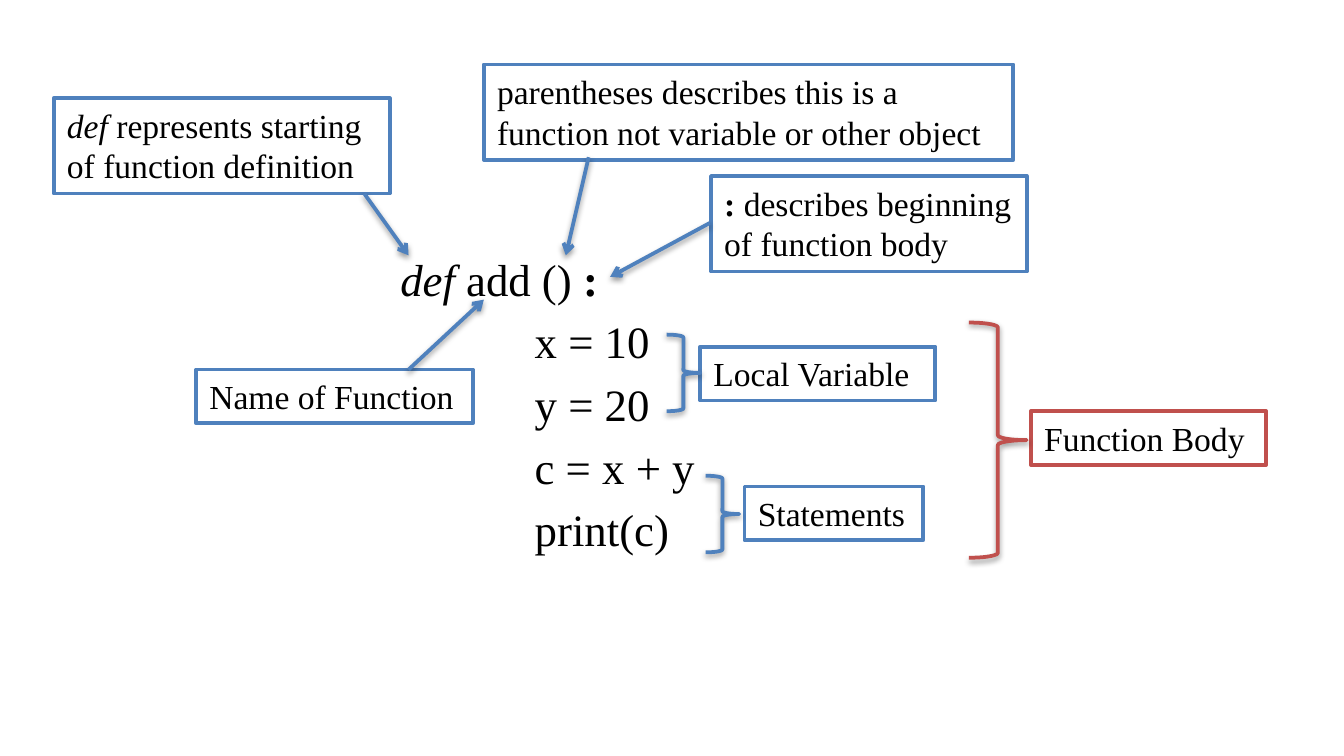
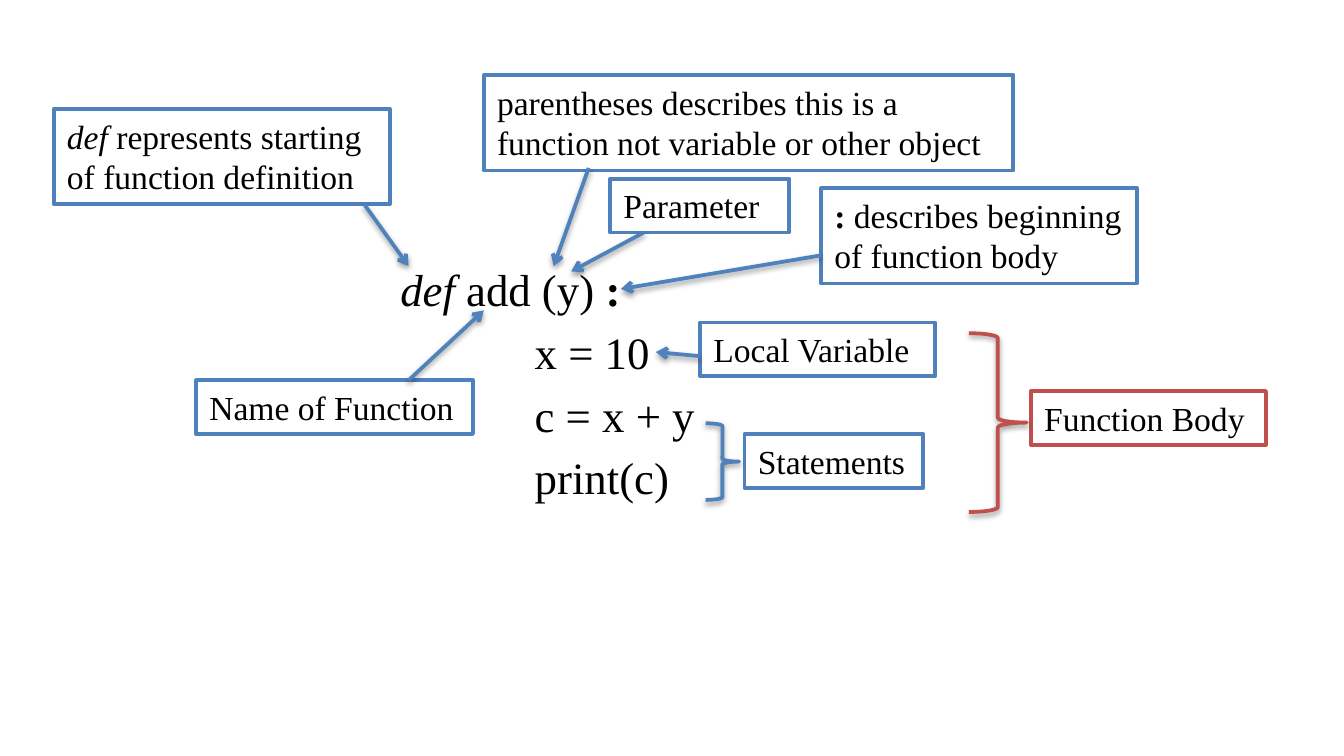
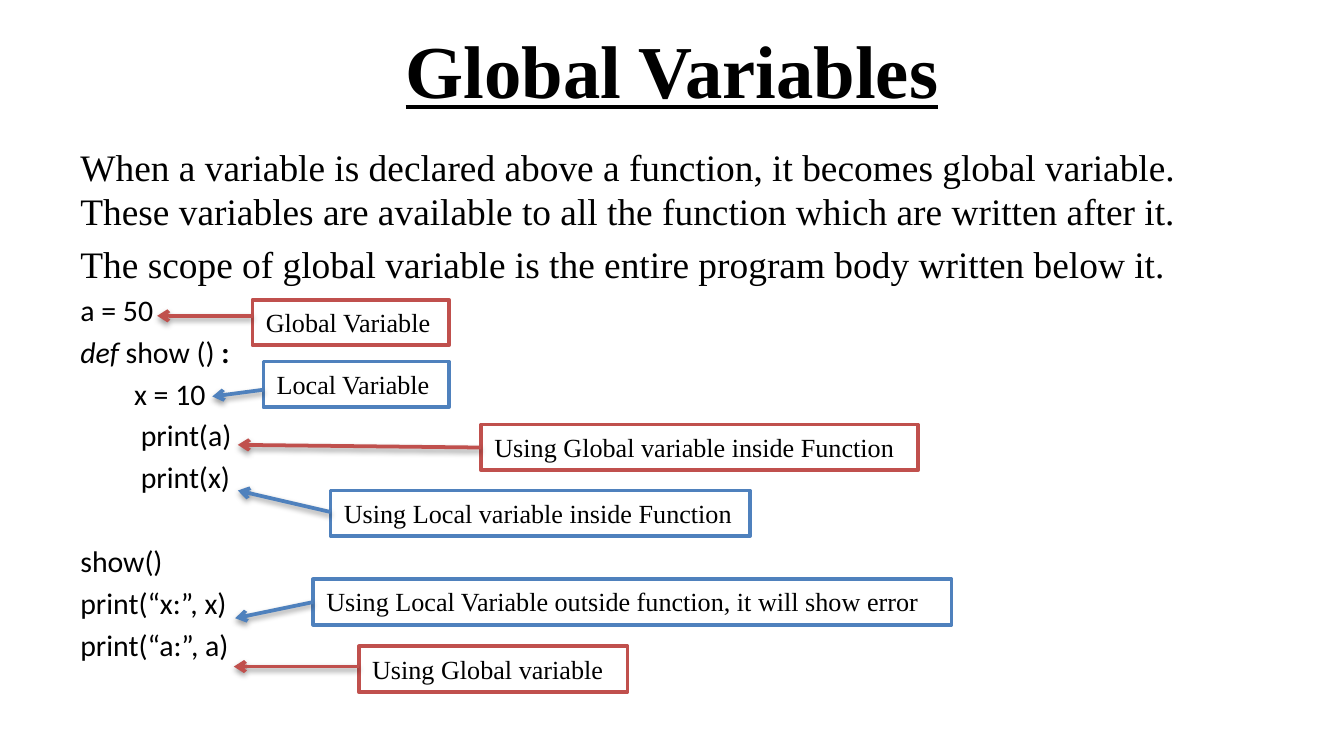
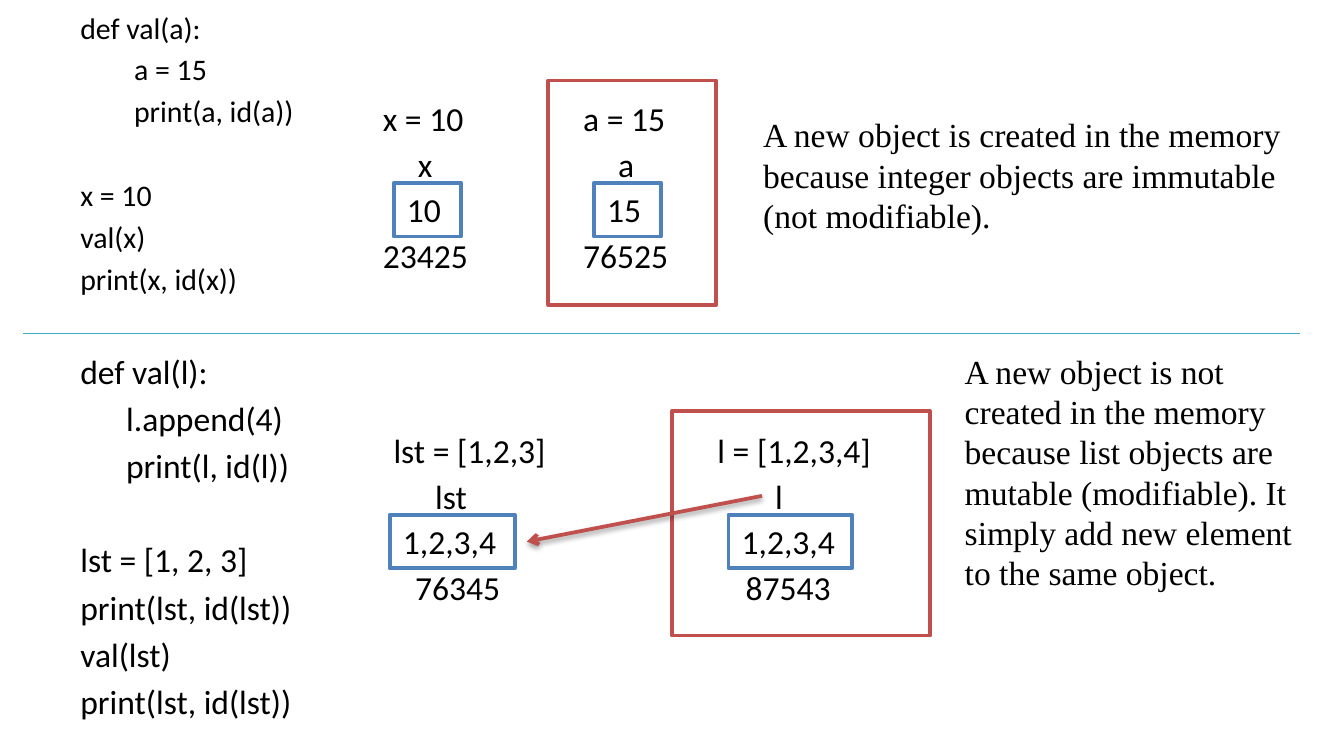
from lxml import etree
from pptx import Presentation
from pptx.dml.color import RGBColor
from pptx.enum.shapes import MSO_CONNECTOR, MSO_SHAPE
from pptx.enum.text import MSO_ANCHOR, MSO_AUTO_SIZE, PP_ALIGN
from pptx.oxml.ns import qn
from pptx.util import Inches, Pt

BLACK = RGBColor(0x00, 0x00, 0x00)
WHITE = RGBColor(0xFF, 0xFF, 0xFF)
BLUE = RGBColor(0x4F, 0x81, 0xBD)
RED = RGBColor(0xC0, 0x50, 0x4D)
TEAL = RGBColor(0x46, 0xAA, 0xC5)
SERIF, SANS = "Times New Roman", "Calibri"
SPACE_RATIO = 0.2  # space before a paragraph, per point of text
SKIPPED_LINE = 1.42  # height of a skipped code line, per point of text
LINE_WIDTH = 2

# A text is a list of runs; a run is (words, font attributes).
DEF = ("def", {"italic": True})
COLON = (":", {"bold": True})


def plain(words):
    return [(words, {})]


# Callouts: text, left, top, width, height, colour
# Arrows: from x, from y, to x, to y, colour
# Braces: left, top, width, height, colour
# Paragraphs: runs, font, size, indent, skipped lines before
SHARED_CALLOUTS = [
    ([DEF, (" represents starting of function definition", {})], 0.4, 0.73, 2.5, 0.71, BLUE),
    (plain("Name of Function"), 1.46, 2.75, 2.06, 0.4, BLUE),
    (plain("parentheses describes this is a function not variable or other object"),
     3.6, 0.48, 3.94, 0.71, BLUE),
]
SHARED_ARROWS = [(2.71, 1.44, 3.04, 1.9, BLUE), (3.04, 2.75, 3.6, 2.23, BLUE)]
COLON_TEXT = [COLON, (" describes beginning of function body", {})]

DEFINITIONS = [
    {
        "shift": 0,
        "signature": " add () ",
        "body": ["x = 10", "y = 20", "c = x + y", "print(c)"],
        "callouts": [
            (COLON_TEXT, 5.29, 1.31, 2.35, 0.71, BLUE),
            (plain("Local Variable"), 5.21, 2.58, 1.75, 0.4, BLUE),
            (plain("Statements"), 5.54, 3.62, 1.33, 0.4, BLUE),
            (plain("Function Body"), 7.67, 3.06, 1.75, 0.4, RED),
        ],
        "arrows": [(4.38, 1.17, 4.21, 1.9, BLUE), (5.28, 1.66, 4.54, 2.06, BLUE)],
        "braces": [
            (4.96, 2.49, 0.25, 0.57, BLUE),
            (5.25, 3.54, 0.25, 0.57, BLUE),
            (7.21, 2.4, 0.43, 1.75, RED),
        ],
    },
    {
        "shift": 0.08,
        "signature": " add (y) ",
        "body": ["x = 10", "c = x + y", "print(c)"],
        "callouts": [
            (COLON_TEXT, 6.11, 1.4, 2.35, 0.71, BLUE),
            (plain("Local Variable"), 5.21, 2.4, 1.75, 0.4, BLUE),
            (plain("Statements"), 5.54, 3.23, 1.33, 0.4, BLUE),
            (plain("Function Body"), 7.67, 2.91, 1.75, 0.4, RED),
            (plain("Parameter"), 4.54, 1.33, 1.33, 0.4, BLUE),
        ],
        "arrows": [
            (4.38, 1.25, 4.12, 1.98, BLUE),
            (6.11, 1.9, 4.62, 2.15, BLUE),
            (5.21, 2.65, 4.88, 2.62, BLUE),
            (4.79, 1.73, 4.25, 2.02, BLUE),
        ],
        "braces": [(5.25, 3.15, 0.25, 0.57, BLUE), (7.21, 2.48, 0.43, 1.33, RED)],
    },
]

GLOBAL_TEXT = [
    (plain("When a variable is declared above a function, it becomes global variable. "
           "These variables are available to all the function which are written after it."),
     SERIF, 20, 0, 0),
    (plain("The scope of global variable is the entire program body written below it."),
     SERIF, 20, 0, 0),
    (plain("a = 50"), SANS, 16, 0, 0),
    ([DEF, (" show () ", {}), COLON], SANS, 16, 0, 0),
    (plain("x = 10"), SANS, 16, 0.4, 0),
    (plain("print(a)"), SANS, 16, 0.45, 0),
    (plain("print(x)"), SANS, 16, 0.45, 0),
    (plain("show()"), SANS, 16, 0, 1),
    (plain("print(“x:”, x)"), SANS, 16, 0, 0),
    (plain("print(“a:”, a)"), SANS, 16, 0, 0),
]
# Words, left, top, width, colour, then the arrow's start y and its tip
GLOBAL_NOTES = [
    ("Global Variable", 1.88, 2.23, 1.46, RED, 2.35, (1.17, 2.35)),
    ("Local Variable", 1.96, 2.69, 1.38, BLUE, 2.9, (1.58, 2.95)),
    ("Using Global variable inside Function", 3.58, 3.16, 3.25, RED, 3.33, (1.77, 3.31)),
    ("Using Local variable inside Function", 2.46, 3.65, 3.12, BLUE, 3.81, (1.77, 3.65)),
    ("Using Local Variable outside function, it will show error",
     2.33, 4.31, 4.75, BLUE, 4.48, (1.75, 4.6)),
    ("Using Global variable", 2.67, 4.81, 2, RED, 4.96, (1.74, 4.96)),
]

# Code lines: words, indent, skipped lines before
# Variables: expression, name, boxed value and identity, each with left and width
OBJECT_EXAMPLES = [
    {
        "code": [("def val(a):", 0, 0), ("a = 15", 0.4, 0), ("print(a, id(a))", 0.4, 0),
                 ("x = 10", 0, 1), ("val(x)", 0, 0), ("print(x, id(x))", 0, 0)],
        "code_size": 16,
        "code_box": (0.5, 0.02, 2.17, 2.38),
        "top": 0.68,
        "variables": [
            [("x = 10", 2.75, 0.81), ("x", 3.01, 0.31), ("10", 2.93, 0.5), ("23425", 2.75, 0.84)],
            [("a = 15", 4.24, 0.82), ("a", 4.5, 0.32), ("15", 4.42, 0.5), ("76525", 4.24, 0.84)],
        ],
        "frame": (4.08, 0.6, 1.25, 1.67),
        "note": "A new object is created in the memory because integer objects are "
                "immutable (not modifiable).",
        "note_box": (5.58, 0.8, 4.08, 1.01),
    },
    {
        "code": [("def val(l):", 0, 0), ("l.append(4)", 0.34, 0), ("print(l, id(l))", 0.34, 0),
                 ("lst = [1, 2, 3]", 0, 1), ("print(lst, id(lst))", 0, 0),
                 ("val(lst)", 0, 0), ("print(lst, id(lst))", 0, 0)],
        "code_size": 18,
        "code_box": (0.5, 2.56, 3.64, 3),
        "top": 3.15,
        "variables": [
            [("lst = [1,2,3]", 2.83, 1.35), ("lst", 3.14, 0.44),
             ("1,2,3,4", 2.9, 0.93), ("76345", 2.99, 0.84)],
            [("l = [1,2,3,4]", 5.24, 1.36), ("l", 5.67, 0.26),
             ("1,2,3,4", 5.42, 0.92), ("87543", 5.45, 0.84)],
        ],
        "frame": (5, 3.06, 1.92, 1.67),
        "note": "A new object is not created in the memory because list objects are mutable "
                "(modifiable). It simply add new element to the same object.",
        "note_box": (7.08, 2.56, 2.67, 1.92),
    },
]
ROW_STEP = 0.34
VALUE_ROW = 2
SAME_OBJECT_ARROW = (5.67, 3.69, 3.92, 4.03, RED)
DIVIDER = (0.17, 2.48, 9.67, 2.48)


def inches(*lengths):
    return [Inches(length) for length in lengths]


def set_effects(shape, shadow):
    """Replace the theme's effects by a soft shadow below the shape, or by none."""
    properties = shape._element.spPr
    for effects in properties.findall(qn("a:effectLst")):
        properties.remove(effects)
    effects = etree.SubElement(properties, qn("a:effectLst"))
    if shadow:
        outer = etree.SubElement(effects, qn("a:outerShdw"), blurRad=str(Pt(3.1)),
                                 dist=str(Pt(1.6)), dir="5400000", rotWithShape="0")
        color = etree.SubElement(outer, qn("a:srgbClr"), val=str(BLACK))
        etree.SubElement(color, qn("a:alpha"), val="38000")


def write_runs(paragraph, runs, font, size, **extra):
    for words, style in runs:
        run = paragraph.add_run()
        run.text = words
        run.font.color.rgb = BLACK
        values = {"name": font, "size": Pt(size), **extra, **style}
        for name, value in values.items():
            setattr(run.font, name, value)


def add_text(slide, box, paragraphs):
    frame = slide.shapes.add_textbox(*inches(*box)).text_frame
    frame.word_wrap = True
    for index, (runs, font, size, indent, skipped) in enumerate(paragraphs):
        paragraph = frame.add_paragraph() if index else frame.paragraphs[0]
        paragraph.space_before = Pt(size * (SPACE_RATIO + skipped * SKIPPED_LINE))
        if indent:
            paragraph._p.get_or_add_pPr().set("marL", str(Inches(indent)))
        write_runs(paragraph, runs, font, size)


def add_label(slide, box, words, font, wrap):
    frame = slide.shapes.add_textbox(*inches(*box)).text_frame
    frame.word_wrap = wrap
    frame.auto_size = MSO_AUTO_SIZE.SHAPE_TO_FIT_TEXT
    write_runs(frame.paragraphs[0], plain(words), font, 18)


def add_outline(slide, kind, left, top, width, height, color, shadow=False):
    shape = slide.shapes.add_shape(kind, *inches(left, top, width, height))
    shape.fill.background()
    shape.line.color.rgb = color
    shape.line.width = Pt(LINE_WIDTH)
    set_effects(shape, shadow)
    return shape


def add_callout(slide, runs, left, top, width, height, color, size=18, font=SERIF):
    shape = add_outline(slide, MSO_SHAPE.RECTANGLE, left, top, width, height, color)
    shape.fill.solid()
    shape.fill.fore_color.rgb = WHITE
    frame = shape.text_frame
    frame.word_wrap = True
    frame.auto_size = MSO_AUTO_SIZE.SHAPE_TO_FIT_TEXT
    frame.vertical_anchor = MSO_ANCHOR.TOP
    frame.paragraphs[0].alignment = PP_ALIGN.LEFT
    write_runs(frame.paragraphs[0], runs, font, size)


def add_line(slide, x1, y1, x2, y2, color, width=LINE_WIDTH, arrow=True):
    """Draw an arrow with a shadow, or a bare line."""
    line = slide.shapes.add_connector(MSO_CONNECTOR.STRAIGHT, *inches(x1, y1, x2, y2))
    line.line.color.rgb = color
    line.line.width = Pt(width)
    if arrow:
        etree.SubElement(line.line._get_or_add_ln(), qn("a:tailEnd"), type="arrow")
    set_effects(line, arrow)


def add_definition_slide(slide, definition):
    shift = definition["shift"]
    code = [([DEF, (definition["signature"], {}), COLON], SERIF, 24, 0, 0)]
    code += [(plain(words), SERIF, 24, 1, 0) for words in definition["body"]]
    add_text(slide, (2.88, 1.82 + shift, 3.58, 2.25), code)
    for runs, left, top, *rest in SHARED_CALLOUTS:
        add_callout(slide, runs, left, top + shift, *rest)
    for x1, y1, x2, y2, color in SHARED_ARROWS:
        add_line(slide, x1, y1 + shift, x2, y2 + shift, color)
    for callout in definition["callouts"]:
        add_callout(slide, *callout)
    for arrow in definition["arrows"]:
        add_line(slide, *arrow)
    for brace in definition["braces"]:
        add_outline(slide, MSO_SHAPE.RIGHT_BRACE, *brace, shadow=True)


def add_global_slide(slide):
    frame = slide.shapes.add_textbox(*inches(0.5, 0.04, 9, 0.94)).text_frame
    frame.word_wrap = True
    frame.vertical_anchor = MSO_ANCHOR.MIDDLE
    frame.paragraphs[0].alignment = PP_ALIGN.CENTER
    write_runs(frame.paragraphs[0], plain("Global Variables"), SERIF, 40,
               bold=True, underline=True)
    add_text(slide, (0.5, 1.02, 9, 4.21), GLOBAL_TEXT)
    for words, left, top, width, color, start_y, tip in GLOBAL_NOTES:
        add_callout(slide, plain(words), left, top, width, 0.34, color, size=14)
        add_line(slide, left, start_y, *tip, color)


def add_object_slide(slide):
    for example in OBJECT_EXAMPLES:
        size = example["code_size"]
        add_text(slide, example["code_box"],
                 [(plain(words), SANS, size, indent, skipped)
                  for words, indent, skipped in example["code"]])
        for variable in example["variables"]:
            for row, (words, left, width) in enumerate(variable):
                box = (left, example["top"] + row * ROW_STEP, width, 0.4)
                if row == VALUE_ROW:
                    add_callout(slide, plain(words), *box, BLUE, font=SANS)
                else:
                    add_label(slide, box, words, SANS, wrap=False)
        add_outline(slide, MSO_SHAPE.RECTANGLE, *example["frame"], RED)
        add_label(slide, example["note_box"], example["note"], SERIF, wrap=True)
    add_line(slide, *SAME_OBJECT_ARROW)
    add_line(slide, *DIVIDER, TEAL, width=0.75, arrow=False)


def main():
    presentation = Presentation()
    presentation.slide_width = Inches(10)
    presentation.slide_height = Inches(10 * 9 / 16)
    blank = presentation.slide_layouts[6]
    for definition in DEFINITIONS:
        add_definition_slide(presentation.slides.add_slide(blank), definition)
    add_global_slide(presentation.slides.add_slide(blank))
    add_object_slide(presentation.slides.add_slide(blank))
    presentation.save("out.pptx")


if __name__ == "__main__":
    main()
